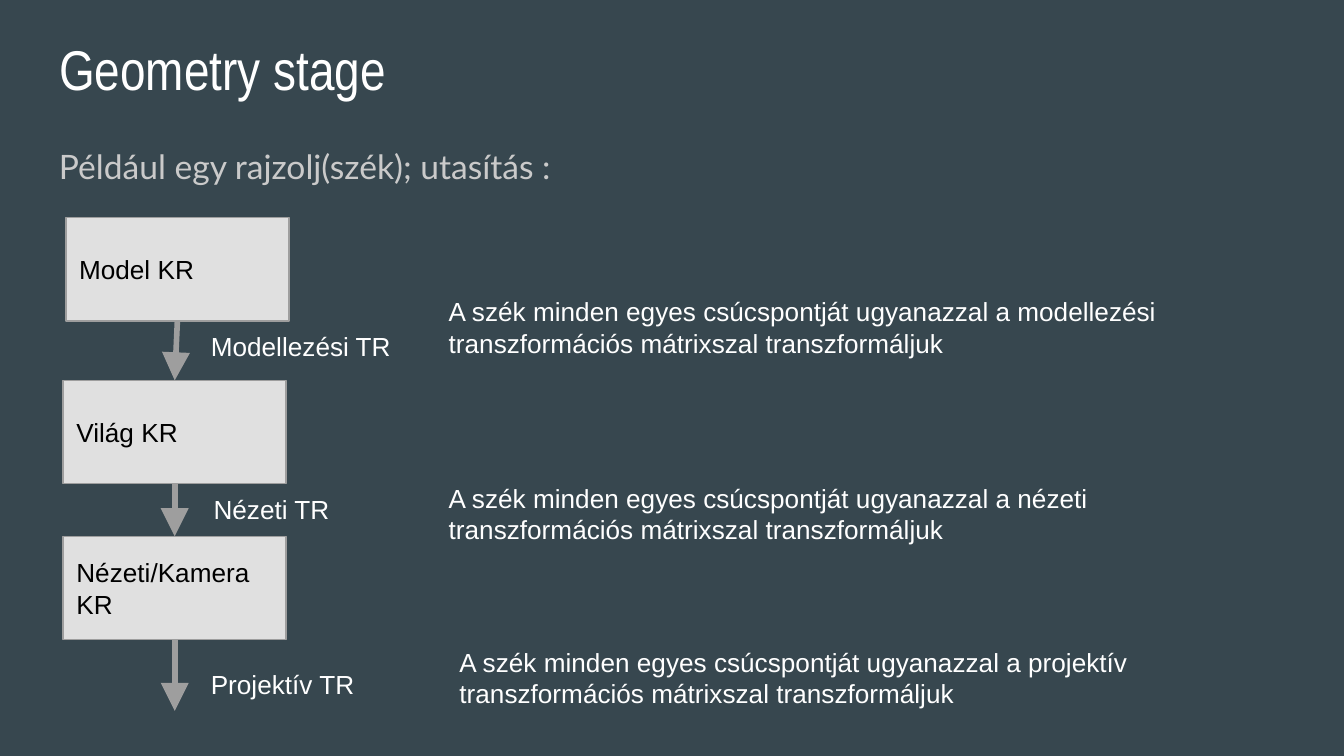
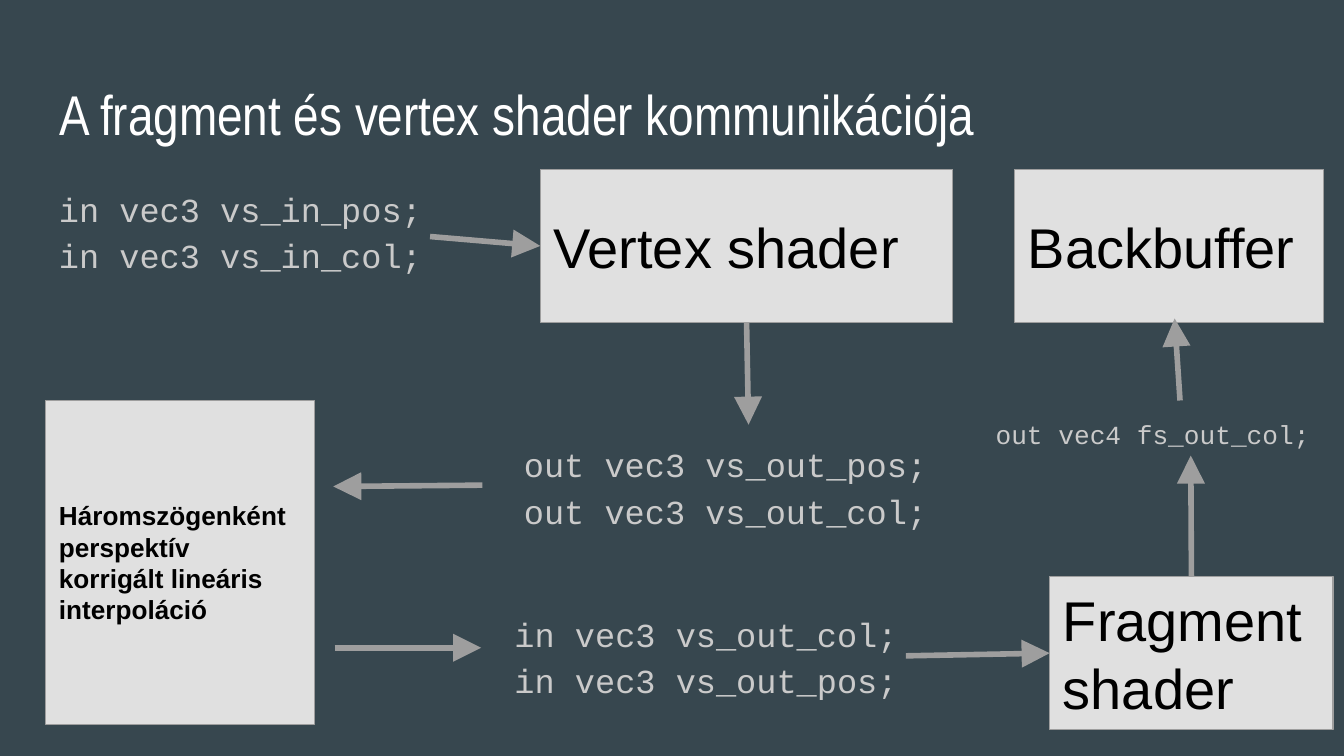
from lxml.etree import SubElement
from pptx import Presentation
from pptx.dml.color import RGBColor
from pptx.enum.shapes import MSO_CONNECTOR, MSO_SHAPE
from pptx.enum.text import MSO_ANCHOR, MSO_AUTO_SIZE, PP_ALIGN
from pptx.oxml.ns import qn
from pptx.util import Inches, Pt

COLORS = {"back": "37474F", "title": "FFFFFF", "body": "CACACA",
          "box": "E0E0E0", "line": "9E9E9E", "ink": "000000"}
TOP, LEFT, BOTTOM, RIGHT = range(4)  # connection sites of a rectangle

# Text styles: font, size, colour, bold, line spacing
STYLES = {
    "title": ("Arial Narrow", 30, "title", False, 1.0),
    "lead": ("Lato", 18, "body", False, 1.15),
    "label": ("Arial", 14, "title", False, 1.0),
    "box": ("Arial", 14, "ink", False, 1.0),
    "box_bold": ("Arial", 14, "ink", True, 1.0),
    "box_big": ("Arial", 30, "ink", False, 1.0),
    "code": ("Courier New", 18, "body", False, 1.15),
    "code_small": ("Courier New", 14, "body", False, 1.15),
}

NOTE = ("A szék minden egyes csúcspontját ugyanazzal a {} "
        "transzformációs mátrixszal transzformáljuk")
STEP_BOX = (1.66, 0.77)
STEP_LABEL = (1.85, 0.45)
STEP_NOTE = (6.21, 0.63)
CODE_SIZE = (3.73, 0.97)

# Boxes and texts: text, style, (left, top), (width, height)
# Arrows: start and end, each a point or a (box, site) pair
SLIDES = [
    {
        "title": ("Geometry stage", 0.16),
        "boxes": {
            "model": ("Model KR", "box", (0.49, 1.62), STEP_BOX),
            "world": ("Világ KR", "box", (0.47, 2.83), STEP_BOX),
            "camera": ("Nézeti/Kamera KR", "box", (0.47, 3.99), STEP_BOX),
        },
        "texts": [
            ("Például egy rajzolj(szék); utasítás :", "lead",
             (0.34, 0.94), (9.32, 0.77)),
            ("Modellezési TR", "label", (1.47, 2.36), STEP_LABEL),
            ("Nézeti TR", "label", (1.49, 3.57), STEP_LABEL),
            ("Projektív TR", "label", (1.47, 4.87), STEP_LABEL),
            (NOTE.format("modellezési"), "label", (3.24, 2.1), STEP_NOTE),
            (NOTE.format("nézeti"), "label", (3.24, 3.49), STEP_NOTE),
            (NOTE.format("projektív"), "label", (3.32, 4.71), STEP_NOTE),
        ],
        "arrows": [
            (("model", BOTTOM), ("world", TOP)),
            (("world", BOTTOM), ("camera", TOP)),
            (("camera", BOTTOM), (1.3, 5.29)),
        ],
    },
    {
        "title": ("A fragment és vertex shader kommunikációja", 0.49),
        "boxes": {
            "vertex": ("Vertex shader", "box_big", (4.02, 1.26), (3.07, 1.14)),
            "interpolation": (
                "Háromszögenként\nperspektív korrigált lineáris interpoláció",
                "box_bold", (0.34, 2.98), (2, 2.41)),
            "fragment": ("Fragment shader", "box_big",
                         (7.81, 4.29), (2.11, 1.14)),
            "backbuffer": ("Backbuffer", "box_big", (7.55, 1.26), (2.3, 1.14)),
        },
        "texts": [
            ("in vec3 vs_in_pos;\nin vec3 vs_in_col;", "code",
             (0.34, 1.26), (9.32, 0.97)),
            ("out vec3 vs_out_pos;\nout vec3 vs_out_col;", "code",
             (3.8, 3.16), CODE_SIZE),
            ("in vec3 vs_out_col;\nin vec3 vs_out_pos;", "code",
             (3.73, 4.42), CODE_SIZE),
            ("out vec4 fs_out_col;", "code_small", (7.31, 2.98), (2.57, 0.54)),
        ],
        "arrows": [
            ((3.2, 1.76), ("vertex", LEFT)),
            (("vertex", BOTTOM), (5.57, 3.16)),
            ((3.59, 3.61), (2.48, 3.62)),
            ((2.49, 4.82), (3.58, 4.82)),
            ((6.74, 4.88), ("fragment", LEFT)),
            (("fragment", TOP), (8.86, 3.39)),
            ((8.78, 2.98), (8.74, 2.37)),
        ],
    },
]


def rgb(name):
    return RGBColor.from_string(COLORS[name])


def place(pos, size):
    return [Inches(v) for v in (*pos, *size)]


def write(sp, text, style, anchor=MSO_ANCHOR.TOP):
    font, size, color, bold, spacing = STYLES[style]
    tf = sp.text_frame
    tf.word_wrap = True
    tf.auto_size = MSO_AUTO_SIZE.NONE
    tf.vertical_anchor = anchor
    tf.margin_left = tf.margin_right = Inches(0.1)
    tf.margin_top = tf.margin_bottom = Inches(0.1)
    p = tf.paragraphs[0]
    p.alignment = PP_ALIGN.LEFT
    p.line_spacing = spacing
    for i, line in enumerate(text.split("\n")):
        if i:
            p.add_line_break()
        r = p.add_run()
        r.text = line
        r.font.name = font
        r.font.size = Pt(size)
        r.font.bold = bold
        r.font.color.rgb = rgb(color)


def add_title(s, text, top):
    sp = s.shapes.title
    sp.left, sp.top, sp.width, sp.height = place((0.34, top), (9.32, 0.63))
    write(sp, text, "title")


def add_box(s, text, style, pos, size):
    sp = s.shapes.add_shape(MSO_SHAPE.RECTANGLE, *place(pos, size))
    sp.shadow.inherit = False
    sp.fill.solid()
    sp.fill.fore_color.rgb = rgb("box")
    sp.line.color.rgb = rgb("line")
    sp.line.width = Pt(0.75)
    write(sp, text, style, MSO_ANCHOR.MIDDLE)
    return sp


def add_arrow(s, boxes, start, end):
    # Glued ends take their place from the box
    points = [(0, 0) if e[0] in boxes else e for e in (start, end)]
    cn = s.shapes.add_connector(MSO_CONNECTOR.STRAIGHT, *place(*points))
    for e, connect in ((start, cn.begin_connect), (end, cn.end_connect)):
        if e[0] in boxes:
            connect(boxes[e[0]], e[1])
    cn.line.color.rgb = rgb("line")
    cn.line.width = Pt(3)
    SubElement(cn.line._get_or_add_ln(), qn("a:tailEnd"),
               type="triangle", w="lg", len="lg")
    SubElement(cn._element.spPr, qn("a:effectLst"))


def main():
    prs = Presentation()
    prs.slide_width = Inches(10)
    prs.slide_height = Inches(10 * 9 / 16)  # widescreen 16:9
    fill = prs.slide_master.background.fill
    fill.solid()
    fill.fore_color.rgb = rgb("back")

    for content in SLIDES:
        s = prs.slides.add_slide(prs.slide_layouts.get_by_name("Title Only"))
        add_title(s, *content["title"])
        boxes = {name: add_box(s, *box)
                 for name, box in content["boxes"].items()}
        for text, style, pos, size in content["texts"]:
            write(s.shapes.add_textbox(*place(pos, size)), text, style)
        for start, end in content["arrows"]:
            add_arrow(s, boxes, start, end)

    prs.save("out.pptx")


if __name__ == "__main__":
    main()
